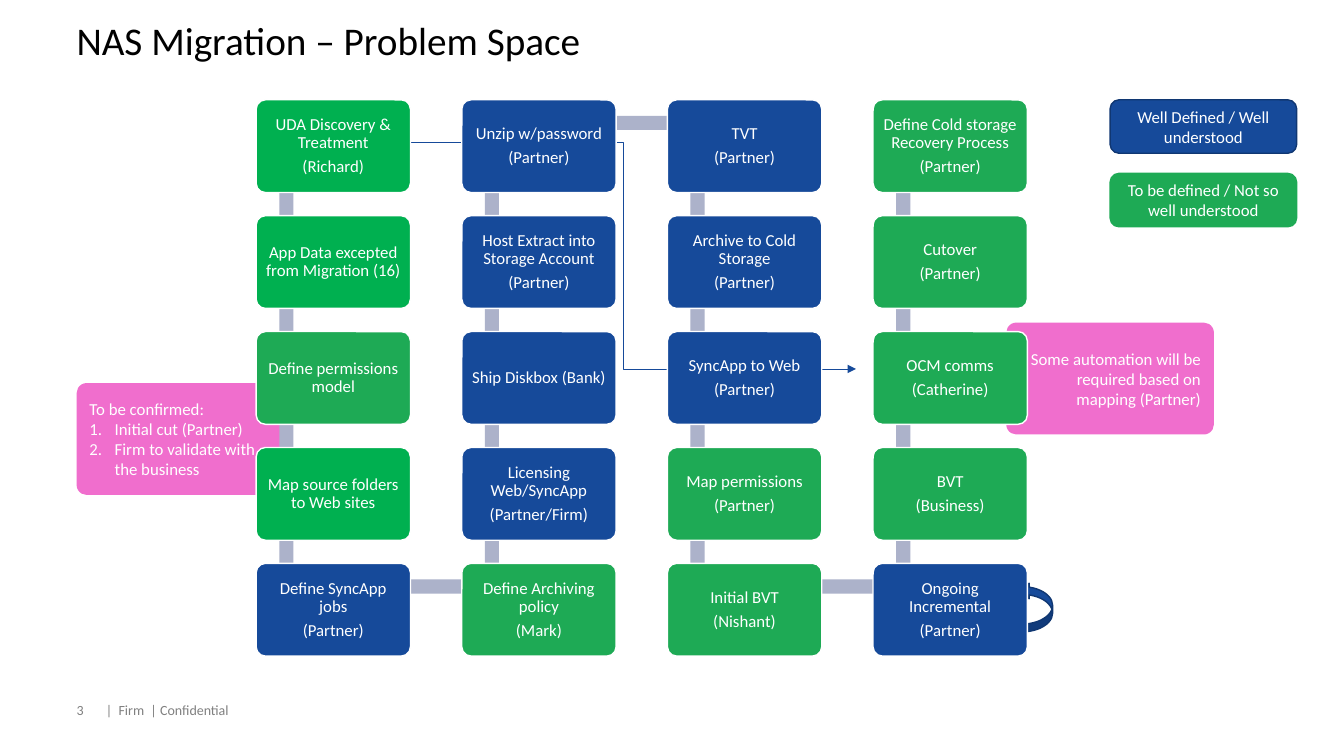
import pptx
import pptx.util
import pptx.dml.color
import pptx.enum.shapes
import pptx.enum.text
import pptx.oxml.ns
import lxml.etree

Pt = pptx.util.Pt
RGB = pptx.dml.color.RGBColor
KIND = pptx.enum.shapes.MSO_SHAPE
ALIGN = pptx.enum.text.PP_ALIGN
ANCHOR = pptx.enum.text.MSO_ANCHOR
qn = pptx.oxml.ns.qn

BLUE = RGB(0x16, 0x4A, 0x9A)
NAVY = RGB(0x10, 0x37, 0x72)
GREEN = RGB(0x1E, 0xAA, 0x55)
LIME = RGB(0x00, 0xB0, 0x50)
PINK = RGB(0xF0, 0x6E, 0xCD)
STEEL = RGB(0xAC, 0xB2, 0xCA)
GREY = RGB(0x80, 0x80, 0x80)
WHITE = RGB(0xFF, 0xFF, 0xFF)
BLACK = RGB(0x00, 0x00, 0x00)

deck = pptx.Presentation()
deck.slide_width = pptx.util.Inches(13.33)
deck.slide_height = pptx.util.Inches(7.5)
slide = deck.slides.add_slide(deck.slide_layouts[6])
wide = deck.slide_width / 100
high = deck.slide_height / 100


def block(kind, left, top, width, height, fill, line=None, curve=None):
    shape = slide.shapes.add_shape(
        kind, int(left * wide), int(top * high), int(width * wide), int(height * high))
    shape.shadow.inherit = False
    shape.fill.solid()
    shape.fill.fore_color.rgb = fill
    if line is None:
        shape.line.fill.background()
    else:
        shape.line.color.rgb = line
        shape.line.width = Pt(1)
    if curve:
        shape.adjustments[0] = curve
    return shape


def write(shape, lines, size, color, style, frame, steps=()):
    for name, value in {"word_wrap": True, **frame}.items():
        setattr(shape.text_frame, name, value)
    for i, line in enumerate(lines):
        if i:
            para = shape.text_frame.add_paragraph()
        else:
            para = shape.text_frame.paragraphs[0]
        para.text = line
        for name, value in style.items():
            setattr(para, name, value)
        if i in steps:
            props = para._p.get_or_add_pPr()
            props.set("marL", "228600")
            props.set("indent", "-228600")
            lxml.etree.SubElement(props, qn("a:buAutoNum"), type="arabicPeriod")
        for name, value in {"name": "Calibri", "size": Pt(size)}.items():
            setattr(para.font, name, value)
        para.font.color.rgb = color


middle = {"vertical_anchor": ANCHOR.MIDDLE}
sides = ("margin_left", "margin_top", "margin_right", "margin_bottom")
flush = dict.fromkeys(sides, 0)
tight = {**dict.fromkeys(sides, Pt(5)), **middle}

notes = [
    (74.87, 42.67, ALIGN.RIGHT, (),
     ["Some automation will be required based on mapping (Partner)"]),
    (5.7, 50.67, ALIGN.LEFT, (1, 2),
     ["To be confirmed:", "Initial cut (Partner)", "Firm to validate with the business"]),
]
for left, top, align, steps, lines in notes:
    note = block(KIND.ROUNDED_RECTANGLE, left, top, 15.45, 14.8, PINK, curve=0.09)
    write(note, lines, 12, WHITE, {"alignment": align}, middle, steps)

base = {**flush, "vertical_anchor": ANCHOR.BOTTOM}
labels = [
    (5.7, 3.2, 88.6, 7.33, "NAS Migration – Problem Space", 28, BLACK,
     {"line_spacing": Pt(28)}, flush),
    (5.7, 89.73, 2.25, 5.33, "3", 10, GREY, {}, base),
    (7.88, 89.73, 11.4, 5.33, "|  Firm  | Confidential", 10, GREY, {}, base),
]
for left, top, width, height, words, size, color, style, frame in labels:
    label = slide.shapes.add_textbox(
        int(left * wide), int(top * high), int(width * wide), int(height * high))
    write(label, [words], size, color, style, frame)

keys = [
    ("Well Defined / Well understood", BLUE, NAVY),
    ("To be defined / Not so well understood", GREEN, GREEN),
]
for i, (words, fill, line) in enumerate(keys):
    key = block(KIND.ROUNDED_RECTANGLE, 82.6, 13.2 + 9.73 * i, 13.88, 7.07, fill, line)
    write(key, [words], 12, WHITE, {"alignment": ALIGN.CENTER}, middle)

curl = block(KIND.CURVED_LEFT_ARROW, 75.99, 77.07, 2.33, 6.53, BLUE, NAVY)
curl._element.spPr.find(qn("a:xfrm")).set("flipV", "1")

link = slide.shapes.add_connector(
    pptx.enum.shapes.MSO_CONNECTOR.ELBOW,
    int(29.03 * wide), int(18.8 * high), int(63.69 * wide), int(48.8 * high))
link.line.color.rgb = BLUE
link.line.width = Pt(0.5)
lxml.etree.SubElement(link.line._get_or_add_ln(), qn("a:tailEnd"), type="triangle")
lxml.etree.SubElement(link._element.spPr, qn("a:effectLst"))

columns = [
    [
        (LIME, ["UDA Discovery & Treatment", "(Richard)"]),
        (LIME, ["App Data excepted from Migration (16)"]),
        (GREEN, ["Define permissions model"]),
        (LIME, ["Map source folders to Web sites"]),
        (BLUE, ["Define SyncApp jobs", "(Partner)"]),
    ],
    [
        (BLUE, ["Unzip w/password", "(Partner)"]),
        (BLUE, ["Host Extract into Storage Account", "(Partner)"]),
        (BLUE, ["Ship Diskbox (Bank)"]),
        (BLUE, ["Licensing Web/SyncApp", "(Partner/Firm)"]),
        (GREEN, ["Define Archiving policy", "(Mark)"]),
    ],
    [
        (BLUE, ["TVT", "(Partner)"]),
        (BLUE, ["Archive to Cold Storage", "(Partner)"]),
        (BLUE, ["SyncApp to Web", "(Partner)"]),
        (GREEN, ["Map permissions", "(Partner)"]),
        (GREEN, ["Initial BVT", "(Nishant)"]),
    ],
    [
        (GREEN, ["Define Cold storage Recovery Process", "(Partner)"]),
        (GREEN, ["Cutover", "(Partner)"]),
        (GREEN, ["OCM comms", "(Catherine)"]),
        (GREEN, ["BVT", "(Business)"]),
        (BLUE, ["Ongoing Incremental", "(Partner)"]),
    ],
]
across, down = 15.3, 15.33

for col in range(4):
    for row in range(4):
        block(KIND.RECTANGLE, 20.78 + across * col, 16.27 + down * row, 1.05, 15.2, STEEL)
for col, row in enumerate((4, 0, 4)):
    block(KIND.RECTANGLE, 21.38 + across * col, 15.33 + down * row, 15.23, 1.87, STEEL)

center = {"alignment": ALIGN.CENTER, "line_spacing": 0.9, "space_after": Pt(4.2)}
for col, tasks in enumerate(columns):
    for row, (fill, lines) in enumerate(tasks):
        task = block(KIND.ROUNDED_RECTANGLE, 19.06 + across * col, 13.2 + down * row,
                     11.48, 12.27, fill, WHITE, 0.1)
        write(task, lines, 12, WHITE, center, tight)

deck.save("out.pptx")
